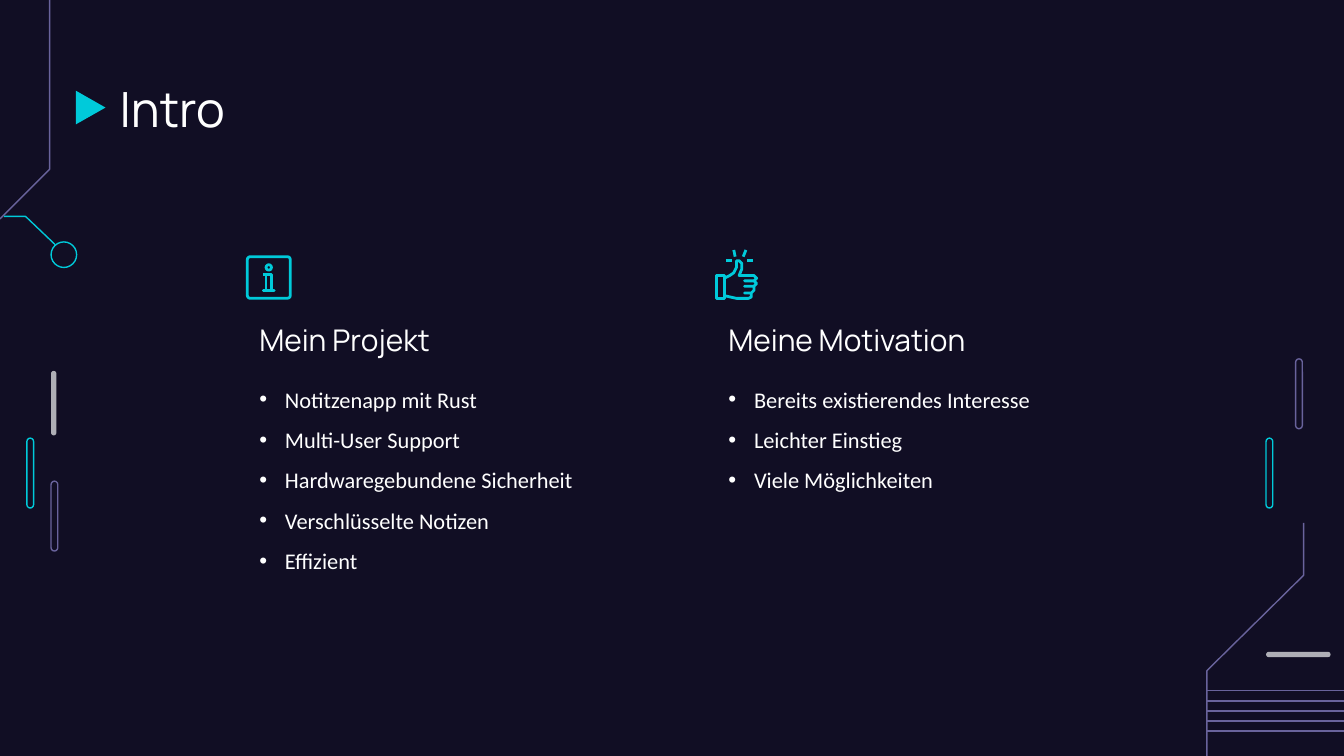
"""Build the dark "Intro" slide with two bullet columns and circuit decor."""
import pptx
import pptx.dml.color
import pptx.enum.shapes
import pptx.enum.text
import pptx.oxml.ns
import pptx.util
from lxml import etree

Inches = pptx.util.Inches
Pt = pptx.util.Pt
RGB = pptx.dml.color.RGBColor
Kind = pptx.enum.shapes.MSO_SHAPE
Anchor = pptx.enum.text.MSO_ANCHOR
qn = pptx.oxml.ns.qn

NIGHT = RGB(0x11, 0x0E, 0x24)
CYAN = RGB(0x00, 0xCA, 0xDA)
PURPLE = RGB(0x69, 0x63, 0x9C)
GREY = RGB(0xAF, 0xAF, 0xB6)
WHITE = RGB(0xFF, 0xFF, 0xFF)

WIDE = 10
HIGH = WIDE * 9 / 16

TITLE = "Intro"
COLUMNS = [
    ("Mein Projekt", ["Notitzenapp mit Rust", "Multi-User Support",
                      "Hardwaregebundene Sicherheit",
                      "Verschlüsselte Notizen", "Effizient"]),
    ("Meine Motivation", ["Bereits existierendes Interesse",
                          "Leichter Einstieg", "Viele Möglichkeiten"]),
]
LEFT, STEP, SPAN = 1.83, 3.49, 2.86

PILLS = [(9.42, 3.26, CYAN), (9.64, 2.67, PURPLE),
         (0.2, 3.26, CYAN), (0.38, 3.58, PURPLE)]
BARS = [(9.42, 4.85, 0.48, 0.04), (0.38, 2.76, 0.04, 0.48)]
TRACES = [
    ([(0.37, 0), (0.37, 1.26), (0, 1.63)], PURPLE),
    ([(0.41, 1.82), (0.19, 1.61), (0.03, 1.61)], CYAN),
    ([(9.7, 3.89), (9.7, 4.28), (8.98, 4.99), (8.98, HIGH)], PURPLE),
]
STEM = [(1.96, 2.04), (1.98, 2.04), (1.98, 2.16), (1.96, 2.16),
        (2.04, 2.16), (2.02, 2.16), (2.02, 2.04), (1.98, 2.04)]
HAND = [(5.39, 2.07), (5.43, 2.05), (5.46, 2.03), (5.48, 1.99), (5.48, 1.94),
        (5.5, 1.94), (5.52, 1.96), (5.52, 2), (5.5, 2.05), (5.61, 2.05),
        (5.63, 2.07), (5.61, 2.09), (5.54, 2.09), (5.61, 2.09), (5.63, 2.11),
        (5.61, 2.13), (5.54, 2.13), (5.61, 2.13), (5.61, 2.16), (5.59, 2.18),
        (5.54, 2.18), (5.59, 2.18), (5.59, 2.21), (5.57, 2.22), (5.48, 2.22),
        (5.39, 2.2)]
RAYS = [((5.46, 1.86), (5.47, 1.91)), ((5.55, 1.86), (5.53, 1.91)),
        ((5.56, 1.94), (5.6, 1.94)), ((5.4, 1.94), (5.45, 1.94))]


def paint(shape, fill=None, line=None, width=0.75):
    shape.shadow.inherit = False
    if fill is None:
        shape.fill.background()
    else:
        shape.fill.solid()
        shape.fill.fore_color.rgb = fill
    if line is None:
        shape.line.fill.background()
    else:
        shape.line.color.rgb = line
        shape.line.width = Pt(width)


def draw(slide, kind, box, **look):
    shape = slide.shapes.add_shape(kind, *map(Inches, box))
    paint(shape, **look)
    return shape


def trace(slide, dots, color, width=0.75):
    dots = [(Inches(x), Inches(y)) for x, y in dots]
    pen = slide.shapes.build_freeform(*dots[0], scale=1.0)
    pen.add_line_segments(dots[1:], close=False)
    paint(pen.convert_to_shape(), line=color, width=width)


def link(slide, start, end, color, width=0.75):
    line = slide.shapes.add_connector(
        pptx.enum.shapes.MSO_CONNECTOR.STRAIGHT, *map(Inches, start + end))
    line.line.color.rgb = color
    line.line.width = Pt(width)
    etree.SubElement(line._element.spPr, qn("a:effectLst"))


def write(holder, box, text, font, size, anchor=Anchor.TOP):
    holder.left, holder.top, holder.width, holder.height = map(Inches, box)
    frame = holder.text_frame
    frame.text = text
    frame.word_wrap = True
    frame.auto_size = pptx.enum.text.MSO_AUTO_SIZE.NONE
    frame.vertical_anchor = anchor
    frame.margin_left = frame.margin_right = Inches(0.1)
    frame.margin_top = frame.margin_bottom = Inches(0.1)
    for para in frame.paragraphs:
        para.alignment = pptx.enum.text.PP_ALIGN.LEFT
        para.space_before = Pt(0)
        for run in para.runs:
            run.font.name = font
            run.font.size = Pt(size)
            run.font.bold = False
            run.font.color.rgb = WHITE


def bullet(para):
    para.line_spacing = 1.5
    props = para._p.get_or_add_pPr()
    props.set("marL", str(Inches(0.19)))
    props.set("indent", str(-Inches(0.19)))
    tint = etree.SubElement(props, qn("a:buClr"))
    etree.SubElement(tint, qn("a:srgbClr")).set("val", str(WHITE))
    etree.SubElement(props, qn("a:buChar")).set("char", "•")


def decor(slide):
    for x, y, color in PILLS:
        pill = draw(slide, Kind.ROUNDED_RECTANGLE, (x, y, 0.05, 0.52), line=color)
        pill.adjustments[0] = 0.5
    for box in BARS:
        bar = draw(slide, Kind.ROUNDED_RECTANGLE, box, fill=GREY)
        bar.adjustments[0] = 0.5
    for dots, color in TRACES:
        trace(slide, dots, color)
    draw(slide, Kind.OVAL, (0.38, 1.8, 0.19, 0.19), line=CYAN)
    for row in range(5):
        y = 5.14 + row * 0.3 / 4
        link(slide, (8.98, y), (WIDE, y), PURPLE)
    arrow = draw(slide, Kind.FLOWCHART_MERGE, (0.55, 0.69, 0.25, 0.22), fill=CYAN)
    arrow.rotation = 270


def icons(slide):
    frame = draw(slide, Kind.ROUNDED_RECTANGLE, (1.84, 1.91, 0.32, 0.31),
                 line=CYAN, width=1.5)
    frame.adjustments[0] = 0.07
    draw(slide, Kind.OVAL, (1.98, 1.97, 0.04, 0.04), line=CYAN, width=1.5)
    trace(slide, STEM, CYAN, 1.5)
    draw(slide, Kind.RECTANGLE, (5.33, 2.05, 0.06, 0.17), line=CYAN, width=1.5)
    trace(slide, HAND, CYAN, 1.5)
    for start, end in RAYS:
        link(slide, start, end, CYAN, 1.5)


def main():
    deck = pptx.Presentation()
    deck.slide_width, deck.slide_height = Inches(WIDE), Inches(HIGH)
    slide = deck.slides.add_slide(deck.slide_layouts.get_by_name("Comparison"))
    slide.background.fill.solid()
    slide.background.fill.fore_color.rgb = NIGHT
    decor(slide)
    slots = slide.placeholders
    write(slots[0], (0.79, 0.49, 8.43, 0.63), TITLE, "Manrope", 26)
    for col, (head, items) in enumerate(COLUMNS):
        x = LEFT + col * STEP
        write(slots[2 * col + 1], (x, 2.23, SPAN, 0.53), head, "Manrope", 16,
              Anchor.BOTTOM)
        body = slots[2 * col + 2]
        write(body, (x, 2.67, SPAN, 1.61), "\n".join(items), "Calibri", 12)
        for para in body.text_frame.paragraphs:
            bullet(para)
    icons(slide)
    deck.save("out.pptx")


if __name__ == "__main__":
    main()
